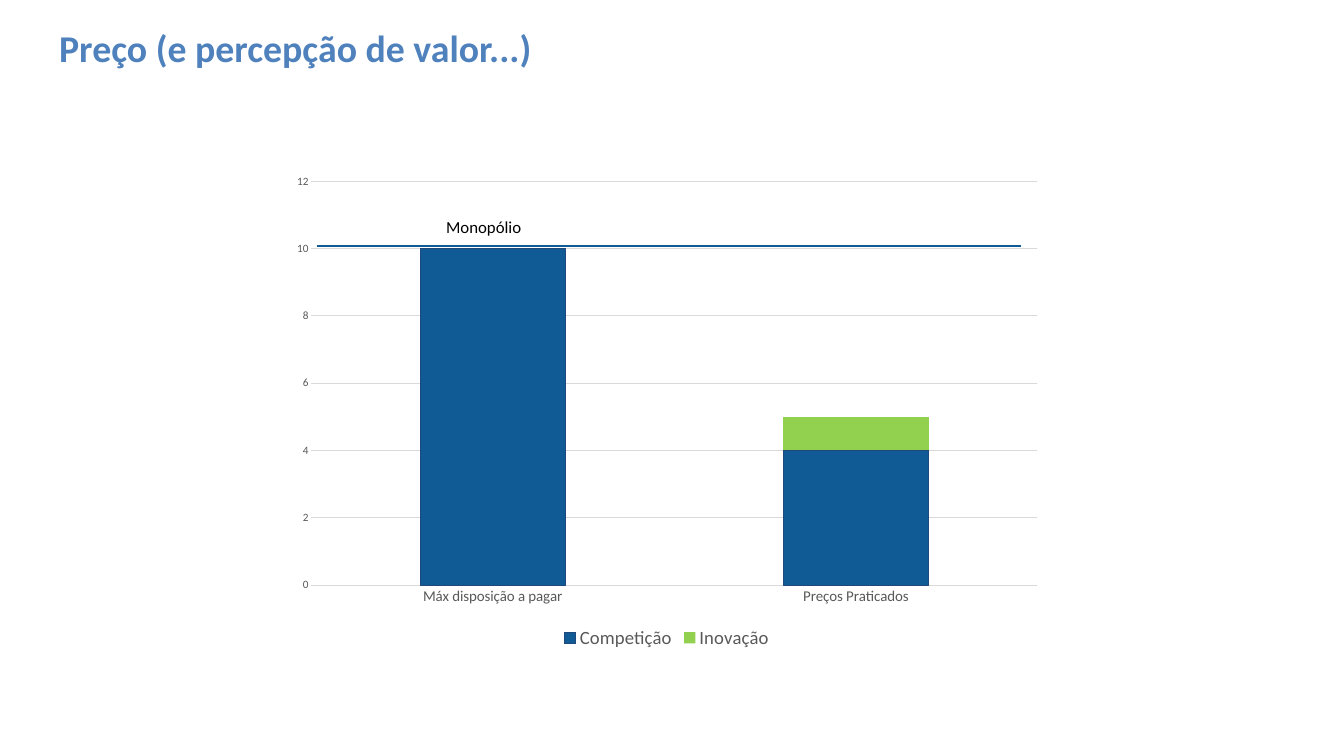
from dataclasses import dataclass

from lxml import etree
from pptx import Presentation
from pptx import util as u
from pptx.chart.data import CategoryChartData
from pptx.dml.color import RGBColor
from pptx.enum import chart as ch, shapes, text
from pptx.oxml import parse_xml
from pptx.oxml.ns import nsdecls, qn


@dataclass(frozen=True)
class Theme:
    face: str = "Calibri"
    title: str = "4F81BD"
    ink: str = "000000"
    soft: str = "595959"
    grid: str = "D9D9D9"
    blue: str = "105B95"
    edge: str = "1F497D"
    green: str = "92D050"
    head: float = 40.5
    key: float = 20
    label: float = 18
    cat: float = 16
    val: float = 12


T = Theme()


def style(font, size, color, bold=False):
    font.name, font.size, font.bold = T.face, u.Pt(size), bold
    font.color.rgb = RGBColor.from_string(color)


def stroke(line, color, width):
    line.color.rgb = RGBColor.from_string(color)
    line.width = u.Pt(width)


def add_title(slide, box, words):
    title = slide.shapes.title
    title.left, title.top, title.width, title.height = map(u.Inches, box)
    frame = title.text_frame
    frame.text = words
    frame.word_wrap = True
    frame.auto_size = text.MSO_AUTO_SIZE.NONE
    frame.vertical_anchor = text.MSO_ANCHOR.MIDDLE
    para = frame.paragraphs[0]
    para.alignment = text.PP_ALIGN.LEFT
    style(para.runs[0].font, T.head, T.title, True)


def set_plot(chart, **parts):
    """Fix the inner plot area, as fractions of the chart."""
    area = chart._chartSpace.find(".//" + qn("c:plotArea"))
    for old in area.findall(qn("c:layout")):
        area.remove(old)
    layout = parse_xml(f"<c:layout {nsdecls('c')}><c:manualLayout/></c:layout>")
    modes = {"layoutTarget": "inner", "xMode": "edge", "yMode": "edge"}
    for name, val in {**modes, **parts}.items():
        etree.SubElement(layout[0], qn("c:" + name)).set("val", str(val))
    area.insert(0, layout)


def add_prices(slide, box):
    # Stacked columns
    data = CategoryChartData()
    data.categories = ["Máx disposição a pagar", "Preços Praticados"]
    data.add_series("Competição", (10, 4))
    data.add_series("Inovação", (None, 1))
    chart = slide.shapes.add_chart(
        ch.XL_CHART_TYPE.COLUMN_STACKED, *map(u.Inches, box), data).chart
    chart.has_title = False
    style(chart.font, 10, T.ink)
    plot = chart.plots[0]
    plot.gap_width, plot.overlap, plot.vary_by_categories = 150, 100, False
    for series, color in zip(plot.series, (T.blue, T.green)):
        series.format.fill.solid()
        series.format.fill.fore_color.rgb = RGBColor.from_string(color)
    stroke(plot.series[0].format.line, T.edge, 0.75)

    # Axes
    cat, val = chart.category_axis, chart.value_axis
    for axis, size in ((cat, T.cat), (val, T.val)):
        axis.major_tick_mark = axis.minor_tick_mark = ch.XL_TICK_MARK.NONE
        style(axis.tick_labels.font, size, T.soft)
    stroke(cat.format.line, T.grid, 0.75)
    val.format.line.fill.background()
    val.minimum_scale, val.maximum_scale, val.major_unit = 0, 12, 2
    val.has_major_gridlines = True
    stroke(val.major_gridlines.format.line, T.grid, 0.75)

    # Legend
    chart.has_legend = True
    chart.legend.position = ch.XL_LEGEND_POSITION.BOTTOM
    chart.legend.include_in_layout = False
    style(chart.legend.font, T.key, T.soft)
    set_plot(chart, x=0.04, y=0.03, w=0.94, h=0.83)


def add_limit(slide, box, words):
    """A line along the foot of the box, with its label above."""
    left, top, width, height = box
    label = slide.shapes.add_textbox(
        *map(u.Inches, (left + 1.82, top, 1.37, 0.4)))
    frame = label.text_frame
    frame.text = words
    frame.word_wrap = False
    frame.auto_size = text.MSO_AUTO_SIZE.SHAPE_TO_FIT_TEXT
    style(frame.paragraphs[0].runs[0].font, T.label, T.ink)

    foot = top + height
    line = slide.shapes.add_connector(
        shapes.MSO_CONNECTOR.STRAIGHT,
        *map(u.Inches, (left, foot, left + width, foot)))
    stroke(line.line, T.blue, 3)
    etree.SubElement(line._element.spPr, qn("a:effectLst"))


def main():
    deck = Presentation()
    deck.slide_width, deck.slide_height = u.Inches(20), u.Inches(11.25)
    slide = deck.slides.add_slide(deck.slide_layouts[5])
    add_title(slide, (0.78, 0.35, 13.65, 0.71),
              "Preço (e percepção de valor...)")
    add_prices(slide, (4.17, 2.48, 11.5, 7.24))
    add_limit(slide, (4.72, 3.18, 10.48, 0.48), "Monopólio")
    deck.save("out.pptx")


if __name__ == "__main__":
    main()
